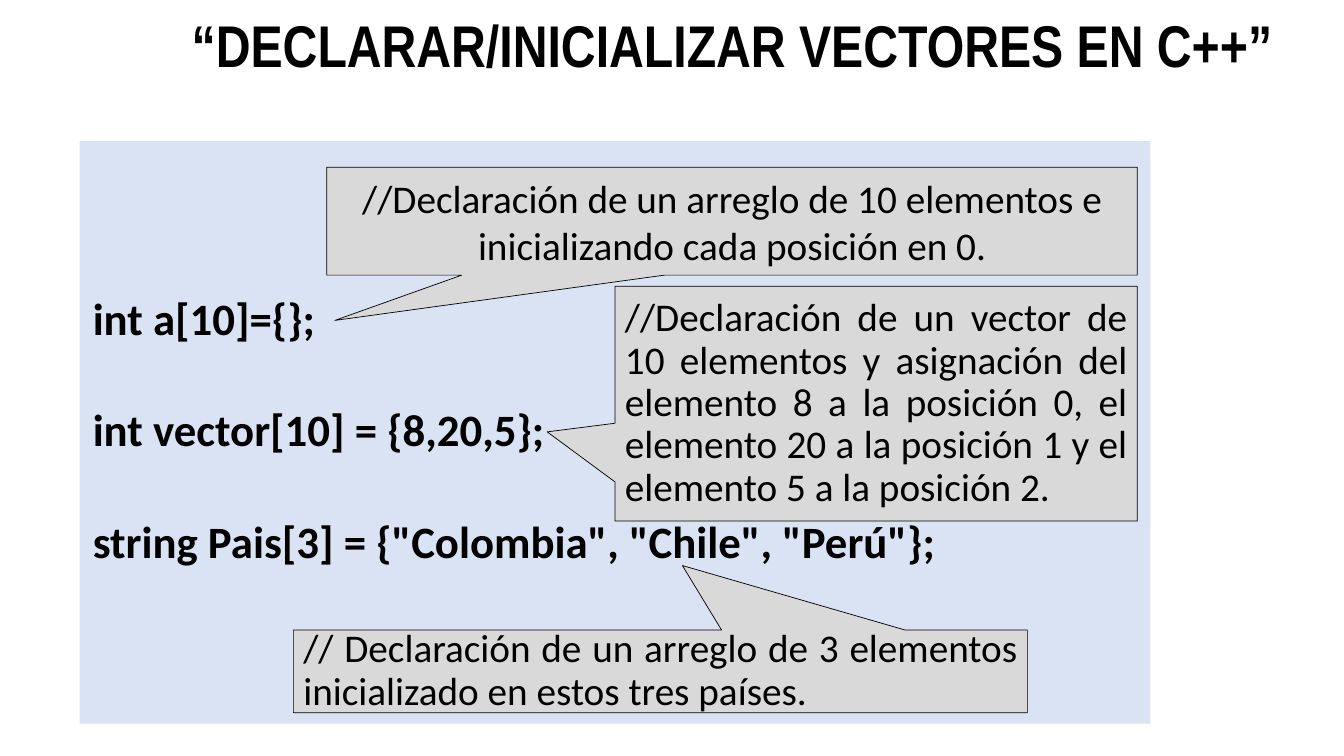
from dataclasses import dataclass

import pptx
import pptx.dml.color
import pptx.enum.shapes
import pptx.enum.text
import pptx.util
from pptx.util import Inches

ALIGN = pptx.enum.text.PP_ALIGN
SHAPE = pptx.enum.shapes.MSO_SHAPE


@dataclass
class Callout:
    text: str
    bounds: tuple[float, float, float, float]
    tip: tuple[float, float]
    align: int = ALIGN.JUSTIFY
    line_spacing: float = 0.9


CODE_LINES = [
    "int a[10]={};",
    "int vector[10] = {8,20,5};",
    'string Pais[3] = {"Colombia", "Chile", "Perú"};',
]
CALLOUTS = [
    Callout("//Declaración de un arreglo de 10 elementos e inicializando cada posición en 0.",
            (3.24, 1.66, 8.04, 1.07), (-0.49, 0.92), ALIGN.CENTER, 1.0),
    Callout("//Declaración de un vector de 10 elementos y asignación del elemento 8 a la "
            "posición 0, el elemento 20 a la posición 1 y el elemento 5 a la posición 2.",
            (6.1, 2.84, 5.18, 2.33), (-0.63, 0.12)),
    Callout("// Declaración de un arreglo de 3 elementos inicializado en estos tres países.",
            (2.91, 6.25, 7.28, 0.82), (0.03, -1.28)),
]


def color(value: str) -> pptx.dml.color.RGBColor:
    return pptx.dml.color.RGBColor.from_string(value)


def place(box, bounds: tuple[float, float, float, float]) -> None:
    box.left, box.top, box.width, box.height = map(Inches, bounds)


def write(box, lines: list[str], font: str, size: float, bold: bool,
          align: int, line_spacing: float = 0.9, gap: float = 0) -> None:
    frame = box.text_frame
    frame.word_wrap = True
    frame.auto_size = pptx.enum.text.MSO_AUTO_SIZE.NONE
    frame.vertical_anchor = pptx.enum.text.MSO_ANCHOR.MIDDLE
    for index, line in enumerate(lines):
        para = frame.add_paragraph() if index else frame.paragraphs[0]
        para.alignment = align
        para.line_spacing = line_spacing
        para.space_before = pptx.util.Pt(gap if index else 0)
        span = para.add_run()
        span.text = line
        span.font.name = font
        span.font.size = pptx.util.Pt(size)
        span.font.bold = bold
        span.font.color.rgb = color("000000")


def add_filled(page, kind: int, bounds: tuple[float, float, float, float], fill: str):
    box = page.shapes.add_shape(kind, *map(Inches, bounds))
    box.shadow.inherit = False
    box.fill.solid()
    box.fill.fore_color.rgb = color(fill)
    return box


def add_code_panel(page) -> None:
    panel = add_filled(page, SHAPE.RECTANGLE, (0.79, 1.4, 10.62, 5.78), "DAE3F3")
    panel.line.fill.background()
    frame = panel.text_frame
    frame.margin_left = frame.margin_right = Inches(0.13)
    frame.margin_top = frame.margin_bottom = Inches(0.13)
    write(panel, CODE_LINES, "Calibri", 32, True, ALIGN.JUSTIFY, gap=45)


def add_callout(page, callout: Callout) -> None:
    box = add_filled(page, SHAPE.RECTANGULAR_CALLOUT, callout.bounds, "D9D9D9")
    box.adjustments[0], box.adjustments[1] = callout.tip
    box.line.color.rgb = color("000000")
    box.line.width = pptx.util.Pt(0.5)
    write(box, [callout.text], "Calibri", 28, False, callout.align, callout.line_spacing)


def main() -> None:
    deck = pptx.Presentation()
    deck.slide_width, deck.slide_height = Inches(13.33), Inches(7.5)
    page = deck.slides.add_slide(deck.slide_layouts[5])
    title = page.shapes.title
    place(title, (1.2, 0, 12.13, 0.96))
    write(title, ["“DECLARAR/INICIALIZAR VECTORES EN C++”"], "Arial Narrow", 42, True, ALIGN.CENTER)
    add_code_panel(page)
    for callout in CALLOUTS:
        add_callout(page, callout)
    deck.save("out.pptx")


if __name__ == "__main__":
    main()
